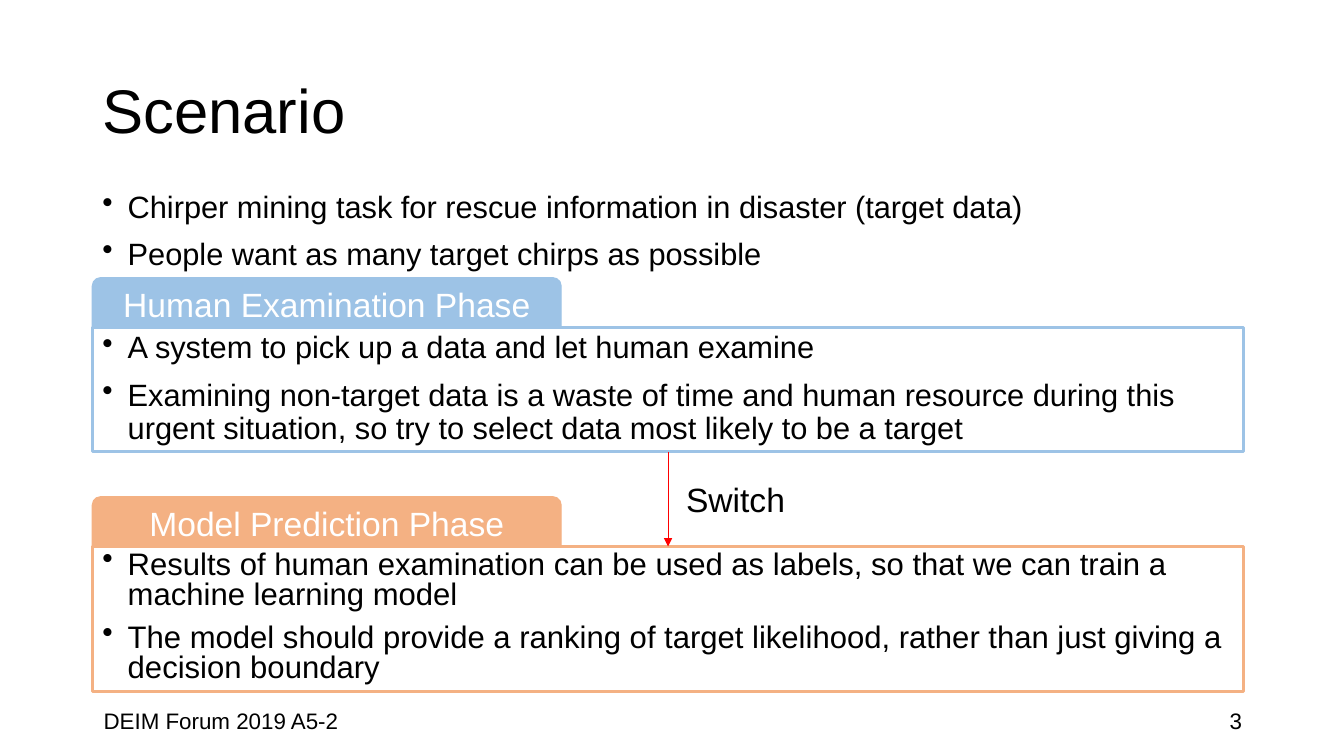
import pptx
import pptx.util
import pptx.dml.color
import pptx.enum.shapes
import pptx.enum.text
import pptx.oxml.ns
import lxml.etree

Cm, Pt = pptx.util.Cm, pptx.util.Pt
KIND = pptx.enum.shapes.MSO_SHAPE
ALIGN = pptx.enum.text.PP_ALIGN
ANCHOR = pptx.enum.text.MSO_ANCHOR

# Content
TITLE = "Scenario"
INTRO = [
    "Chirper mining task for rescue information in disaster (target data)",
    "People want as many target chirps as possible",
]
PHASES = [
    {
        "name": "Human Examination Phase", "color": "blue",
        "top": 8.25, "tall": 3.13, "size": "body", "lead": 0.9,
        "items": [
            "A system to pick up a data and let human examine",
            "Examining non-target data is a waste of time and human resource "
            "during this urgent situation, so try to select data most likely "
            "to be a target",
        ],
    },
    {
        "name": "Model Prediction Phase", "color": "orange",
        "top": 13.77, "tall": 3.66, "size": "model", "lead": 0.8,
        "items": [
            "Results of human examination can be used as labels, so that we "
            "can train a machine learning model",
            "The model should provide a ranking of target likelihood, rather "
            "than just giving a decision boundary",
        ],
    },
]
SWITCH = "Switch"
FOOTER, NUMBER = "DEIM Forum 2019 A5-2", "3"

THEME = {
    "font": "Arial",
    "color": {"black": "000000", "white": "FFFFFF", "red": "FF0000",
              "blue": "9DC3E6", "orange": "F4B183"},
    "size": {"title": 44, "body": 22, "model": 22.2, "label": 24, "foot": 16},
}

# Layout in centimetres
LEFT, WIDE = 2.33, 29.01
TAB_WIDE, TAB_TALL = 11.81, 1.25
FOOT_TOP, FOOT_TALL = 17.65, 1.02
INDENT = 0.64


def rgb(name):
    return pptx.dml.color.RGBColor.from_string(THEME["color"][name])


def write(shape, lines, size, color="black", align=ALIGN.LEFT,
          anchor=ANCHOR.MIDDLE, lead=None, bullet=False, wrap=True):
    frame = shape.text_frame
    frame.word_wrap = wrap
    frame.vertical_anchor = anchor
    for i, line in enumerate(lines):
        para = frame.paragraphs[0] if i == 0 else frame.add_paragraph()
        para.alignment = align
        if lead:
            para.line_spacing = lead
        if bullet:
            para.space_before = Pt(10)
            props = para._p.get_or_add_pPr()
            props.set("marL", str(Cm(INDENT)))
            props.set("indent", str(-Cm(INDENT)))
            mark = lxml.etree.SubElement(props, pptx.oxml.ns.qn("a:buChar"))
            mark.set("char", "•")
        run = para.add_run()
        run.text = line
        run.font.name = THEME["font"]
        run.font.size = Pt(THEME["size"][size])
        run.font.color.rgb = rgb(color)


def text(area, lines, size, **style):
    box = slide.shapes.add_textbox(*map(Cm, area))
    write(box, lines, size, **style)


def block(kind, area, color, width, solid):
    shape = slide.shapes.add_shape(kind, *map(Cm, area))
    shape.shadow.inherit = False
    if solid:
        shape.fill.solid()
        shape.fill.fore_color.rgb = rgb(color)
    else:
        shape.fill.background()
    shape.line.color.rgb = rgb(color)
    shape.line.width = Pt(width)
    return shape


deck = pptx.Presentation()
deck.slide_width, deck.slide_height = Cm(33.87), Cm(19.05)
slide = deck.slides.add_slide(deck.slide_layouts[6])

# Title and opening points
text((LEFT, 1.02, 29.21, 3.68), [TITLE], "title", lead=0.9)
text((LEFT, 4.7, WIDE, 2.36), INTRO, "body",
     anchor=ANCHOR.TOP, lead=0.9, bullet=True)

# Phases: a framed list with a tab on top
for phase in PHASES:
    top, color = phase["top"], phase["color"]
    frame = block(KIND.RECTANGLE, (LEFT, top, WIDE, phase["tall"]),
                  color, 2, False)
    write(frame, phase["items"], phase["size"], anchor=ANCHOR.TOP,
          lead=phase["lead"], bullet=True)
    tab = block(KIND.ROUND_2_SAME_RECTANGLE,
                (LEFT, top - TAB_TALL, TAB_WIDE, TAB_TALL), color, 1, True)
    write(tab, [phase["name"]], "label", color="white", align=ALIGN.CENTER)

# Arrow from the first phase to the second
first, second = PHASES
mid = LEFT + WIDE / 2
start = first["top"] + first["tall"]
arrow = slide.shapes.add_connector(
    pptx.enum.shapes.MSO_CONNECTOR.STRAIGHT,
    Cm(mid), Cm(start), Cm(mid), Cm(second["top"]))
arrow.line.color.rgb = rgb("red")
arrow.line.width = Pt(0.5)
head = lxml.etree.SubElement(arrow.line._get_or_add_ln(),
                             pptx.oxml.ns.qn("a:tailEnd"))
head.set("type", "triangle")
lxml.etree.SubElement(arrow._element.spPr, pptx.oxml.ns.qn("a:effectLst"))
text((17.04, 11.94, 3.02, 1.27), [SWITCH], "label",
     anchor=ANCHOR.TOP, wrap=False)

# Footer
text((LEFT, FOOT_TOP, 6.48, FOOT_TALL), [FOOTER], "foot", align=ALIGN.CENTER)
text((23.93, FOOT_TOP, 7.62, FOOT_TALL), [NUMBER], "foot", align=ALIGN.RIGHT)

deck.save("out.pptx")
